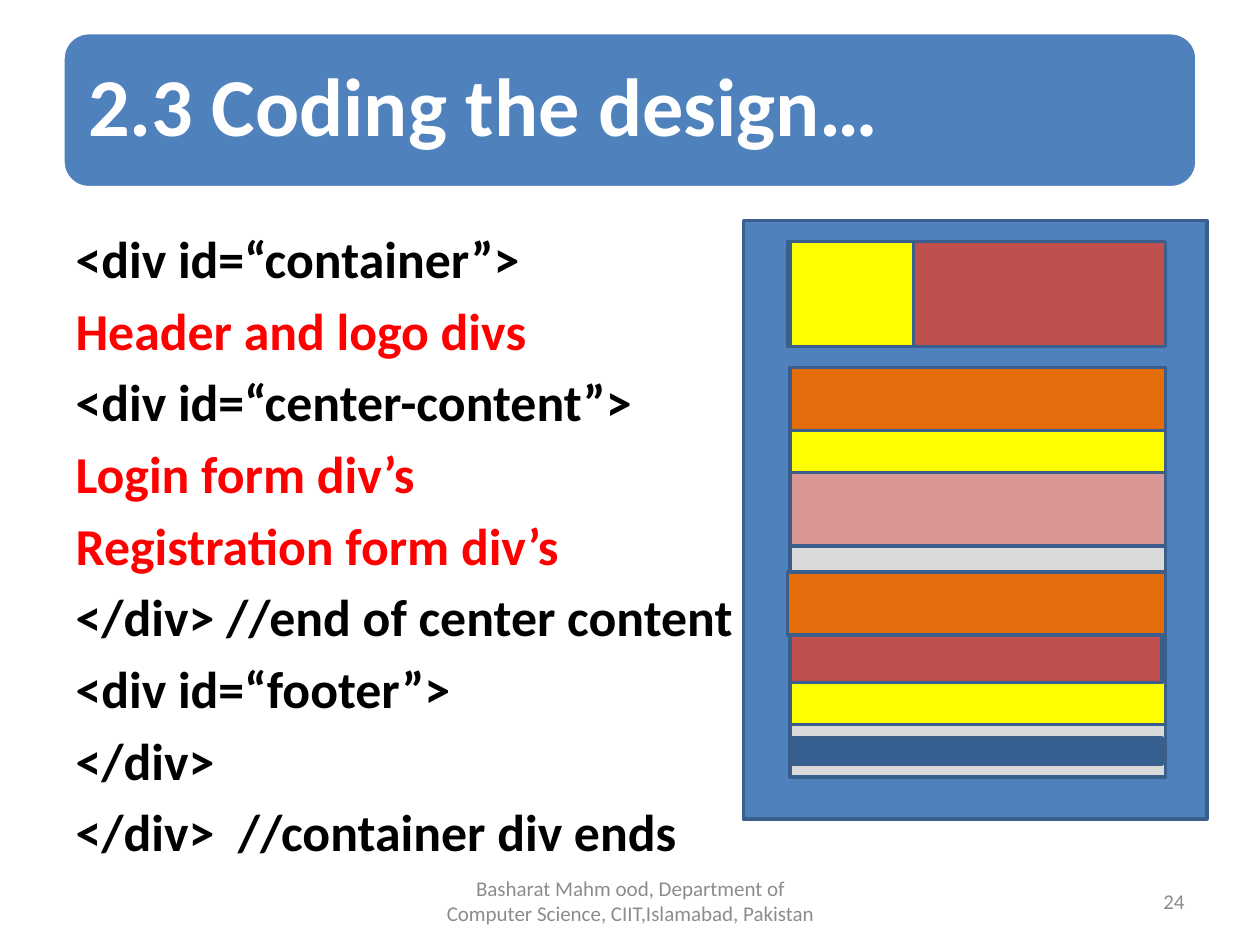
from dataclasses import dataclass

from lxml.etree import SubElement
from pptx import Presentation
from pptx.dml.color import RGBColor
from pptx.enum.shapes import MSO_SHAPE
from pptx.enum.text import MSO_ANCHOR, MSO_AUTO_SIZE, PP_ALIGN
from pptx.oxml.ns import qn
from pptx.util import Inches, Pt

COLORS = {
    "blue": "4F81BD", "navy": "376092", "outline": "3A5F8C", "red": "C0504D",
    "yellow": "FFFF00", "orange": "E46C0A", "pink": "D99694", "gray": "D9D9D9",
    "white": "FFFFFF", "black": "000000", "code_red": "FF0000", "footer": "8C8C8C",
}
CELLS_PER_INCH = 24


@dataclass(frozen=True)
class Block:
    """A rectangle measured in grid columns and rows."""
    column: float
    row: float
    columns: float
    rows: float
    color: str


PAGE_BLOCKS = [
    Block(141.6, 42, 88.3, 114, "blue"),
    Block(150, 46, 72, 20, "red"),
    Block(150.5, 46, 23.5, 20, "yellow"),
    Block(150.5, 70, 71.5, 78, "gray"),
    Block(150.5, 70, 71.5, 34, "pink"),
    Block(150.5, 70, 71.5, 12, "orange"),
    Block(150.5, 82, 71.5, 8, "yellow"),
    Block(150.5, 109, 71.5, 29, "yellow"),
    Block(150, 109, 72, 12, "orange"),
    Block(150.5, 121, 70.8, 9, "red"),
    Block(150.5, 140.6, 70.8, 5, "navy"),
]

CODE_LINES = [
    ("<div id=“container”>", "black"),
    ("Header and logo divs", "code_red"),
    ("<div id=“center-content”>", "black"),
    ("Login form div’s", "code_red"),
    ("Registration form div’s", "code_red"),
    ("</div> //end of center content", "black"),
    ("<div id=“footer”>", "black"),
    ("</div>", "black"),
    ("</div>  //container div ends", "black"),
]


def rgb(name: str) -> RGBColor:
    return RGBColor.from_string(COLORS[name])


def set_values(target, values: dict) -> None:
    for name, value in values.items():
        setattr(target, name, value)


def place(shape, left: float, top: float, width: float, height: float) -> None:
    set_values(shape, {"left": Inches(left), "top": Inches(top),
                       "width": Inches(width), "height": Inches(height)})


def write(paragraph, text: str, size: float, color: str, bold: bool = False) -> None:
    run = paragraph.add_run()
    run.text = text
    set_values(run.font, {"name": "Calibri", "size": Pt(size), "bold": bold})
    run.font.color.rgb = rgb(color)


def add_box(slide, kind, bounds: tuple, fill: str, line: str):
    shape = slide.shapes.add_shape(kind, *(Inches(value) for value in bounds))
    shape.shadow.inherit = False
    shape.fill.solid()
    shape.fill.fore_color.rgb = rgb(fill)
    shape.line.color.rgb = rgb(line)
    shape.line.width = Pt(2)
    return shape


def add_title(slide) -> None:
    bounds = (0.5, 0.26, 9, 1.23)
    title = slide.shapes.title
    banner = add_box(slide, MSO_SHAPE.ROUNDED_RECTANGLE, bounds, "blue", "white")
    title._element.addprevious(banner._element)
    place(title, *bounds)
    margins = {f"margin_{side}": Inches(0.2) for side in ("left", "right", "top", "bottom")}
    set_values(title.text_frame, {**margins, "vertical_anchor": MSO_ANCHOR.MIDDLE,
                                  "auto_size": MSO_AUTO_SIZE.NONE})
    paragraph = title.text_frame.paragraphs[0]
    set_values(paragraph, {"alignment": PP_ALIGN.LEFT, "line_spacing": 0.9})
    write(paragraph, "2.3 Coding the design…", 47, "white", True)


def add_code(slide) -> None:
    body = slide.placeholders[1]
    place(body, 0.5, 1.75, 9, 4.95)
    frame = body.text_frame
    frame.auto_size = MSO_AUTO_SIZE.NONE
    for index, (text, color) in enumerate(CODE_LINES):
        paragraph = frame.add_paragraph() if index else frame.paragraphs[0]
        paragraph.space_before = Pt(5.4)
        properties = paragraph._p.get_or_add_pPr()
        properties.set("marL", "0")
        properties.set("indent", "0")
        SubElement(properties, qn("a:buNone"))
        write(paragraph, text, 29.6, color, True)


def add_footer(slide, left: float, width: float, text: str, alignment) -> None:
    box = slide.shapes.add_textbox(Inches(left), Inches(6.95), Inches(width), Inches(0.4))
    set_values(box.text_frame, {"word_wrap": True, "vertical_anchor": MSO_ANCHOR.MIDDLE})
    paragraph = box.text_frame.paragraphs[0]
    paragraph.alignment = alignment
    write(paragraph, text, 12, "footer")


def main() -> None:
    presentation = Presentation()
    set_values(presentation, {"slide_width": Inches(10), "slide_height": Inches(7.5)})
    slide = presentation.slides.add_slide(presentation.slide_layouts[1])
    add_title(slide)
    add_footer(slide, 3.42, 3.17, "Basharat Mahm ood, Department of Computer Science, "
               "CIIT,Islamabad, Pakistan", PP_ALIGN.CENTER)
    add_footer(slide, 7.17, 2.33, "24", PP_ALIGN.RIGHT)
    add_code(slide)
    for block in PAGE_BLOCKS:
        cells = (block.column, block.row, block.columns, block.rows)
        bounds = tuple(cell / CELLS_PER_INCH for cell in cells)
        add_box(slide, MSO_SHAPE.RECTANGLE, bounds, block.color, "outline")
    presentation.save("out.pptx")


if __name__ == "__main__":
    main()
